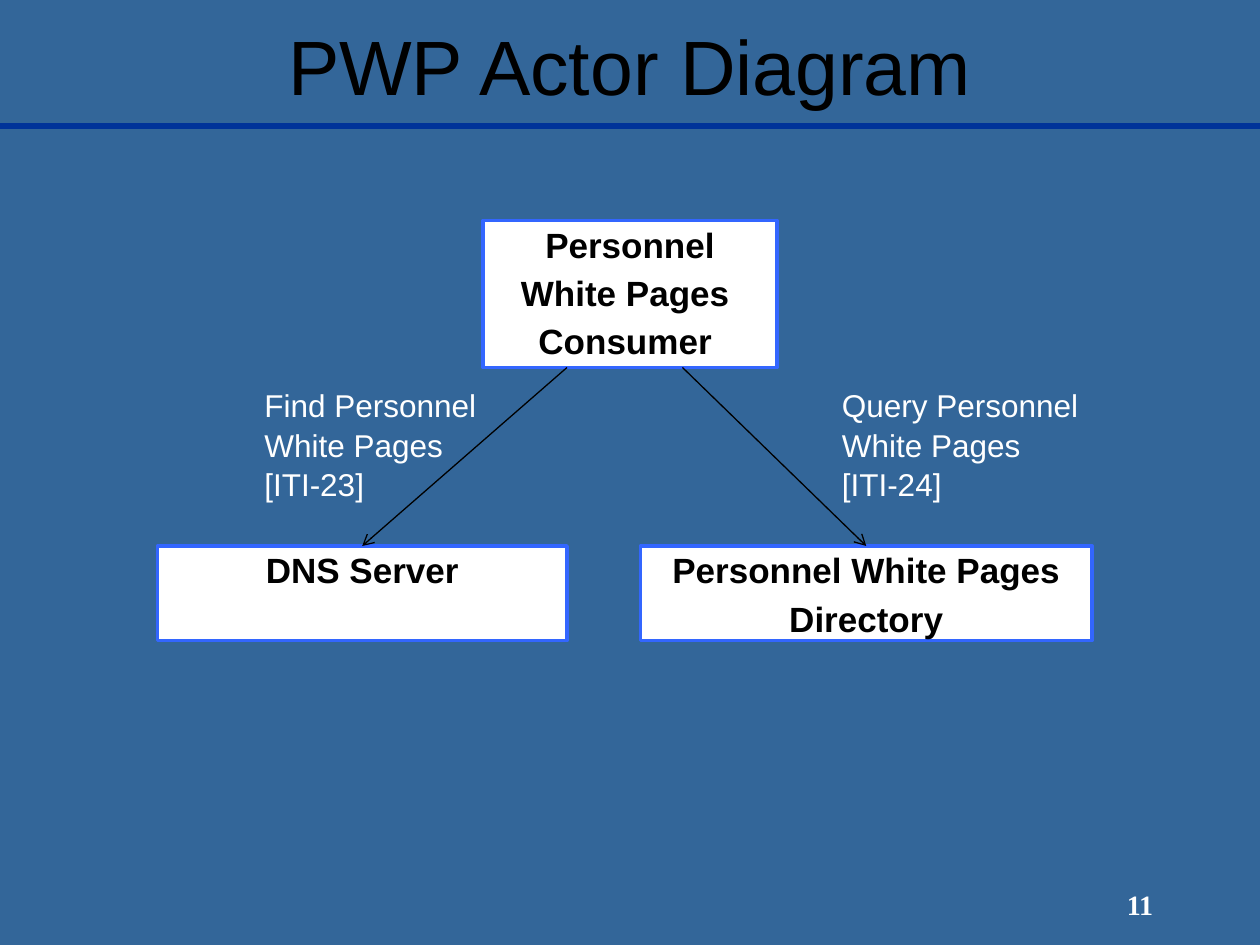
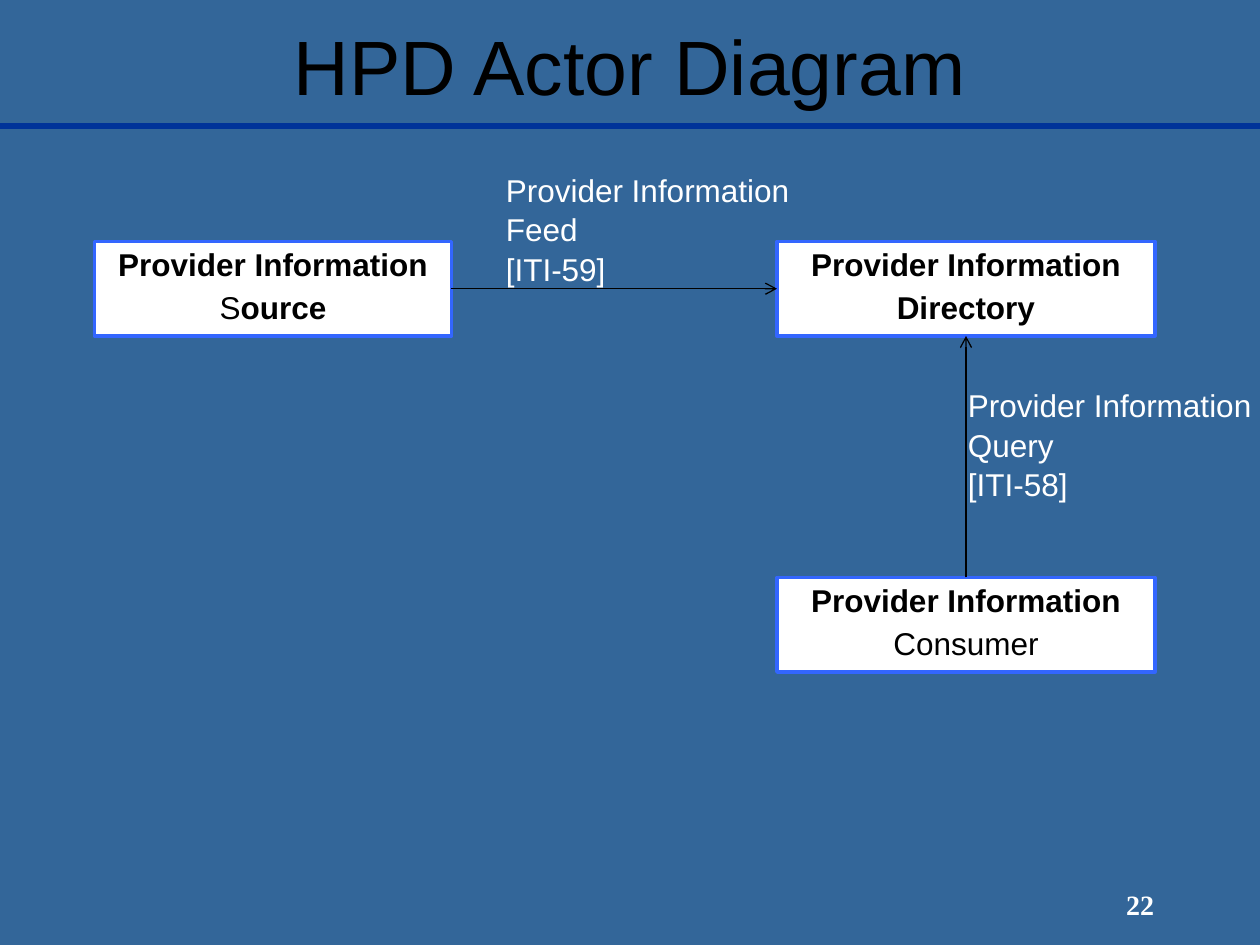
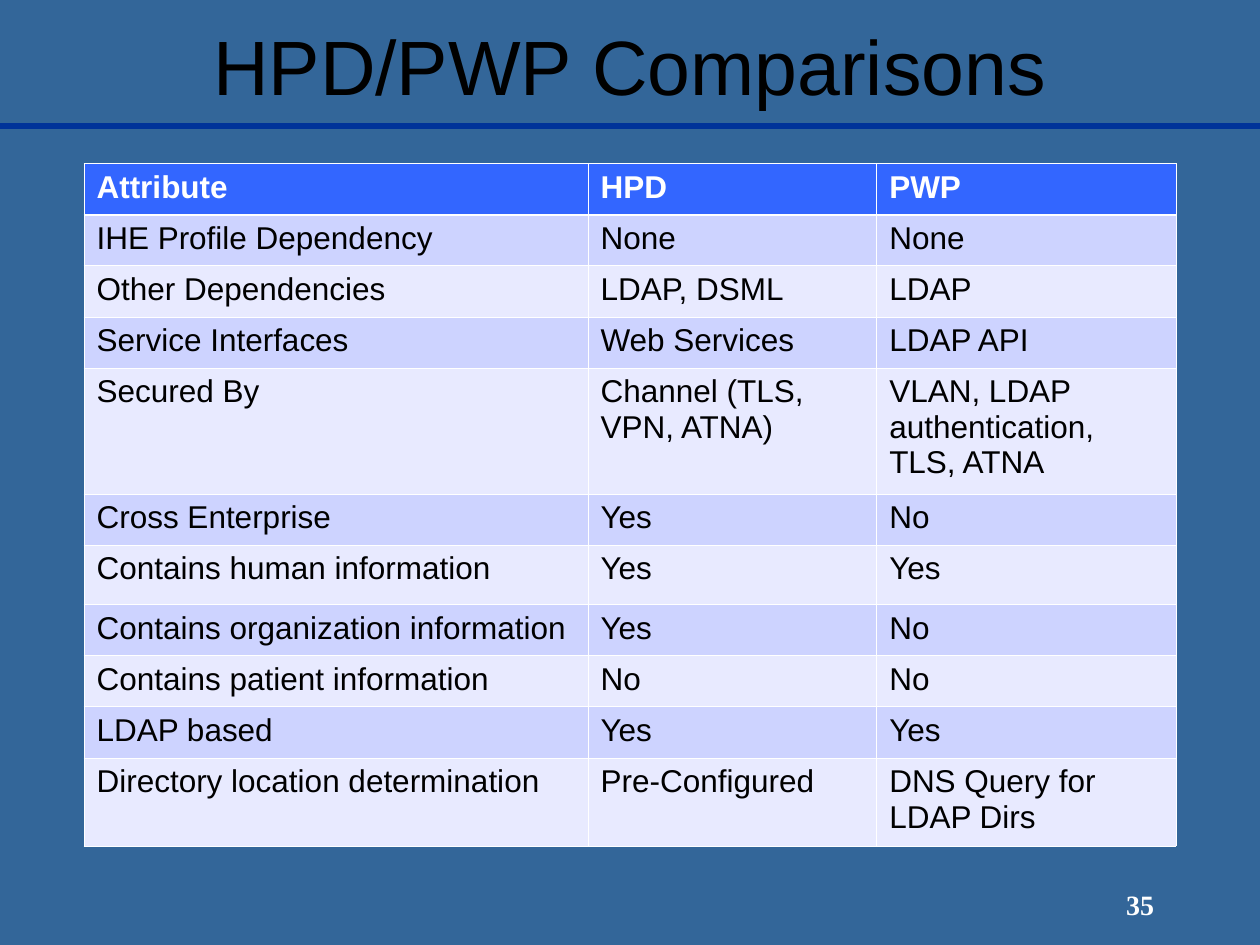
"""Build three slides on the PWP and HPD directory profiles: two actor diagrams and a comparison."""
from lxml.etree import SubElement
from pptx import Presentation
from pptx.dml.color import RGBColor
from pptx.enum.shapes import MSO_CONNECTOR, MSO_SHAPE
from pptx.enum.text import MSO_ANCHOR as Anchor, MSO_AUTO_SIZE as AutoSize, PP_ALIGN as Align
from pptx.oxml.ns import qn
from pptx.util import Pt

BACKGROUND, RULE, ACCENT = "336699", "003399", "3366FF"
WHITE, BLACK = "FFFFFF", "000000"
BANDS = ["E8EAFF", "CDD3FF"]
WIDTH, HEIGHT = 720, 540


def color(target, value):
    """Give a fill or a font the solid colour named by a hex string."""
    if hasattr(target, "solid"):
        target.solid()
        target.fore_color.rgb = RGBColor.from_string(value)
    else:
        target.color.rgb = RGBColor.from_string(value)


def write(frame, lines, size, ink, align=Align.LEFT, bold=False, name="Arial",
          anchor=Anchor.TOP, spacing=None, before=None):
    """Write one paragraph per line; a line is a string or a list of (text, bold) spans."""
    frame.word_wrap = True
    frame.vertical_anchor = anchor
    for index, line in enumerate(lines):
        para = frame.add_paragraph() if index else frame.paragraphs[0]
        para.alignment, para.line_spacing, para.space_before = align, spacing, before
        font = para.font
        font.name, font.size, font.bold = name, Pt(size), bold
        color(font, ink)
        for text, weight in [(line, None)] if isinstance(line, str) else line:
            span = para.add_run()
            span.text, span.font.bold = text, weight


diagrams = [
    {
        "title": "PWP Actor Diagram", "number": "11", "actor size": 20,
        "actors": [
            (276, 126, 168, 84, ["Personnel", "White Pages ", "Consumer "]),
            (90, 312, 234, 54, ["DNS Server"]),
            (366, 312, 258, 54, ["Personnel White Pages", "Directory"]),
        ],
        "arrows": [(324, 210, 207, 312), (390, 210, 495, 312)],
        "transactions": [
            (144, 216, ["Find Personnel White Pages", "[ITI-23]"]),
            (474, 216, ["Query Personnel White Pages", "[ITI-24]"]),
        ],
    },
    {
        "title": "HPD Actor Diagram", "number": "22", "actor size": 18,
        "actors": [
            (54, 138, 204, 54, ["Provider Information", [("S", False), ("ource", True)]]),
            (444, 138, 216, 54, ["Provider Information", "Directory"]),
            (444, 330, 216, 54, ["Provider Information", [("Consumer", False)]]),
        ],
        "arrows": [(258, 165, 444, 165), (552, 330, 552, 192)],
        "transactions": [
            (282, 93, ["Provider Information Feed", "[ITI-59]"]),
            (546, 216, ["Provider Information", "Query", "[ITI-58]"]),
        ],
    },
    {
        "title": "HPD/PWP Comparisons", "number": "35", "actor size": 18,
        "actors": [], "arrows": [], "transactions": [],
    },
]

deck = Presentation()
deck.slide_width, deck.slide_height = Pt(WIDTH), Pt(HEIGHT)
color(deck.slide_master.background.fill, BACKGROUND)

for diagram in diagrams:
    page = deck.slides.add_slide(deck.slide_layouts[5])
    title = page.shapes.title
    title.left, title.top, title.width, title.height = Pt(54), Pt(3), Pt(612), Pt(68)
    title.text_frame.auto_size = AutoSize.NONE
    write(title.text_frame, [diagram["title"]], 44, BLACK, Align.CENTER, anchor=Anchor.MIDDLE)

    number = page.shapes.add_textbox(Pt(600.5), Pt(499), Pt(102), Pt(36))
    write(number.text_frame, [diagram["number"]], 16, WHITE, Align.CENTER, True,
          "Times New Roman", Anchor.MIDDLE)

    size = diagram["actor size"]
    for left, top, width, height, lines in diagram["actors"]:
        actor = page.shapes.add_shape(MSO_SHAPE.RECTANGLE, Pt(left), Pt(top), Pt(width), Pt(height))
        actor.shadow.inherit = False
        color(actor.fill, WHITE)
        color(actor.line.fill, ACCENT)
        actor.line.width = Pt(2)
        write(actor.text_frame, lines, size, BLACK, Align.CENTER, True,
              spacing=0.94, before=Pt(size / 4))

    title_rule = (0, 72, WIDTH, 72)
    for ends in [title_rule] + diagram["arrows"]:
        line = page.shapes.add_connector(MSO_CONNECTOR.STRAIGHT, *map(Pt, ends))
        color(line.line.fill, RULE if ends == title_rule else BLACK)
        line.line.width = Pt(3 if ends == title_rule else 0.75)
        properties = line.element.spPr
        if ends != title_rule:
            SubElement(properties.find(qn("a:ln")), qn("a:tailEnd"), type="arrow")
        SubElement(properties, qn("a:effectLst"))

    for left, top, lines in diagram["transactions"]:
        label = page.shapes.add_textbox(Pt(left), Pt(top), Pt(180), Pt(72))
        label.text_frame.auto_size = AutoSize.SHAPE_TO_FIT_TEXT
        write(label.text_frame, lines, 18, WHITE, spacing=1.05)

comparison = [
    ("Attribute", "HPD", "PWP"),
    ("IHE Profile Dependency", "None", "None"),
    ("Other Dependencies", "LDAP, DSML", "LDAP"),
    ("Service Interfaces", "Web Services", "LDAP API"),
    ("Secured By", "Channel (TLS, VPN, ATNA)", "VLAN, LDAP authentication, TLS, ATNA"),
    ("Cross Enterprise", "Yes", "No"),
    ("Contains human information", "Yes", "Yes"),
    ("Contains organization information", "Yes", "No"),
    ("Contains patient information", "No", "No"),
    ("LDAP based", "Yes", "Yes"),
    ("Directory location determination", "Pre-Configured", "DNS Query for LDAP Dirs"),
]
column_widths = [288, 165, 171]
tall_rows = {4: 72, 6: 34, 10: 50.4}

table = page.shapes.add_table(len(comparison), len(column_widths), Pt(48), Pt(93.5),
                              Pt(sum(column_widths)), Pt(390)).table
for column, width in zip(table.columns, column_widths):
    column.width = Pt(width)
for row_index, texts in enumerate(comparison):
    header = row_index == 0
    table.rows[row_index].height = Pt(tall_rows.get(row_index, 29.2))
    for column_index, text in enumerate(texts):
        cell = table.cell(row_index, column_index)
        cell.margin_left = cell.margin_right = Pt(7.2)
        cell.margin_top = cell.margin_bottom = Pt(3.6)
        write(cell.text_frame, [text], 18, WHITE if header else BLACK, bold=header)
        cell_properties = cell._tc.get_or_add_tcPr()
        for side in "LRTB":
            under_header = (row_index, side) in [(0, "B"), (1, "T")]
            border = SubElement(cell_properties, qn(f"a:ln{side}"),
                                w=str(Pt(1.47 if under_header else 0.45)))
            SubElement(SubElement(border, qn("a:solidFill")), qn("a:srgbClr"), val=WHITE)
        color(cell.fill, ACCENT if header else BANDS[row_index % 2])

deck.save("out.pptx")
